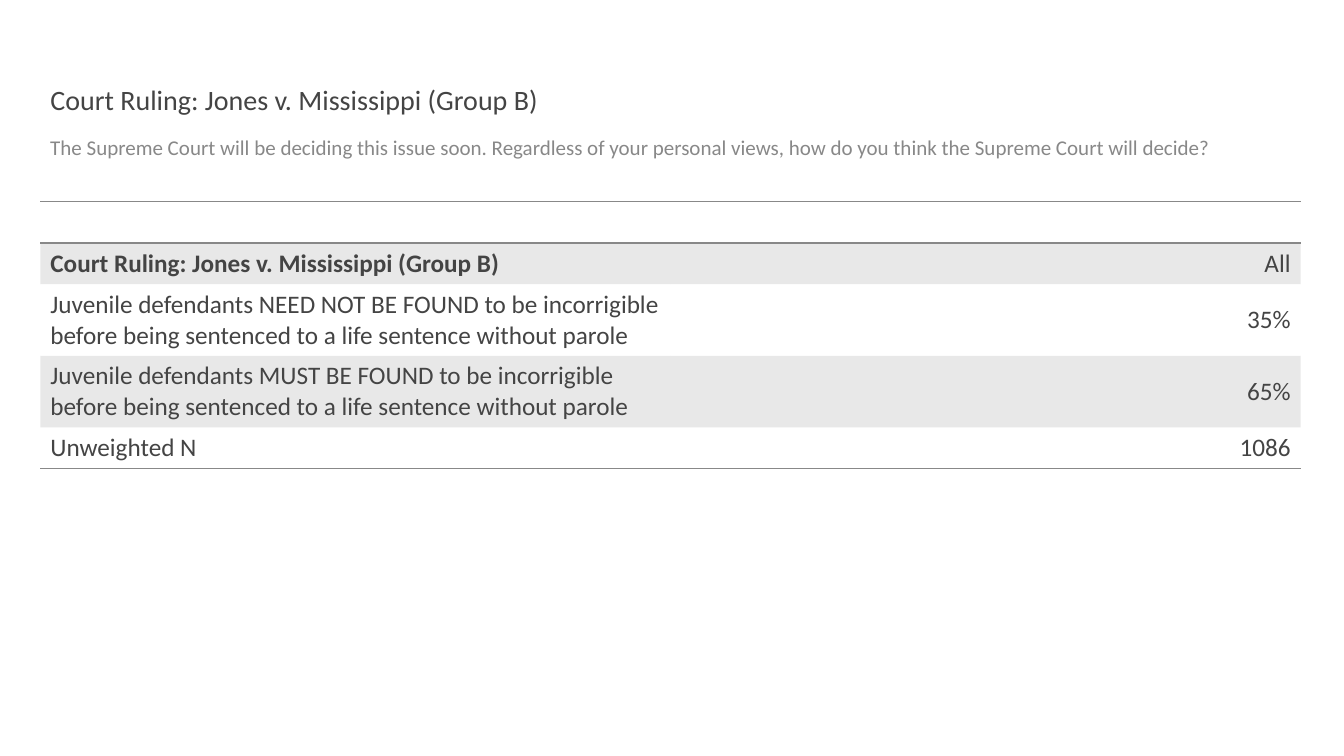
from lxml.etree import SubElement
from pptx import Presentation
from pptx.dml.color import RGBColor
from pptx.enum.text import MSO_ANCHOR as ANCHOR, MSO_AUTO_SIZE as AUTOSIZE, PP_ALIGN as ALIGN
from pptx.oxml.ns import qn
from pptx.util import Inches, Pt

NO_GRID_STYLE = "{2D5ABB26-0587-4C30-8999-92F81FD0307C}"
HEADING = "Court Ruling: Jones v. Mississippi (Group B)"
QUESTION = ("The Supreme Court will be deciding this issue soon. Regardless of your "
            "personal views, how do you think the Supreme Court will decide?")
RESULTS = [
    ("", ""),
    (HEADING, "All"),
    ("Juvenile defendants NEED NOT BE FOUND to be incorrigible before being "
     "sentenced to a life sentence without parole", "35%"),
    ("Juvenile defendants MUST BE FOUND to be incorrigible before being "
     "sentenced to a life sentence without parole", "65%"),
    ("Unweighted N", "1086"),
]


def rgb(color):
    return RGBColor.from_string(color)


class PollSlide:
    """Style of a poll slide and the methods that fill it."""

    font = "Calibri"
    dark = "444444"
    gray = "888888"
    left = Inches(0.4)
    width = Inches(12.5)

    def __init__(self, prs):
        self.slide = prs.slides.add_slide(prs.slide_layouts[5])

    def style(self, p, size, color, bold=False, align=ALIGN.LEFT):
        p.alignment = align
        p.font.name = self.font
        p.font.size = Pt(size)
        p.font.bold = bold
        p.font.color.rgb = rgb(color)

    def place(self, sp, top, height, text, size, color, anchor):
        sp.left, sp.top = self.left, Inches(top)
        sp.width, sp.height = self.width, Inches(height)
        tf = sp.text_frame
        tf.text = text
        tf.word_wrap = True
        tf.auto_size = AUTOSIZE.NONE
        tf.vertical_anchor = anchor
        p = tf.paragraphs[0]
        p.line_spacing = 0.9
        self.style(p, size, color)
        return p

    def title(self, text):
        self.place(self.slide.shapes.title, 0.4, 0.81, text, 20, self.dark, ANCHOR.BOTTOM)

    def question(self, text):
        sp = self.slide.shapes.add_textbox(0, 0, 0, 0)
        p = self.place(sp, 1.31, 0.51, text, 15, self.gray, ANCHOR.TOP)
        p.space_before = Pt(10)

    def border(self, cell, side):
        ln = SubElement(cell._tc.get_or_add_tcPr(), qn(f"a:ln{side}"), w=str(Pt(1)))
        SubElement(SubElement(ln, qn("a:solidFill")), qn("a:srgbClr"), val=self.gray)

    def shade(self, cell):
        cell.fill.solid()
        cell.fill.fore_color.rgb = rgb(self.dark)
        clr = cell._tc.tcPr.find(qn("a:solidFill")).find(qn("a:srgbClr"))
        SubElement(clr, qn("a:alpha"), val="12000")

    def table(self, rows):
        row_height = Inches(0.41)
        frame = self.slide.shapes.add_table(
            len(rows), 2, self.left, Inches(2), self.width, row_height * len(rows))
        table = frame.table
        table.first_row = table.horz_banding = False
        table._tbl.tblPr.find(qn("a:tableStyleId")).text = NO_GRID_STYLE
        for i, row in enumerate(rows):
            table.rows[i].height = row_height
            for j, text in enumerate(row):
                cell = table.cell(i, j)
                cell.text = text
                cell.vertical_anchor = ANCHOR.BOTTOM if i == 1 else ANCHOR.MIDDLE
                self.style(cell.text_frame.paragraphs[0], 18, self.dark,
                           bold=(i, j) == (1, 0), align=ALIGN.RIGHT if j else ALIGN.LEFT)
                if i == 0:
                    self.border(cell, "T")
                if i in (0, len(rows) - 1):
                    self.border(cell, "B")
                if i % 2:
                    self.shade(cell)
                else:
                    cell.fill.background()


def main():
    prs = Presentation()
    prs.slide_width, prs.slide_height = Inches(13.33), Inches(7.5)
    s = PollSlide(prs)
    s.title(HEADING)
    s.question(QUESTION)
    s.table(RESULTS)
    prs.save("out.pptx")


if __name__ == "__main__":
    main()
